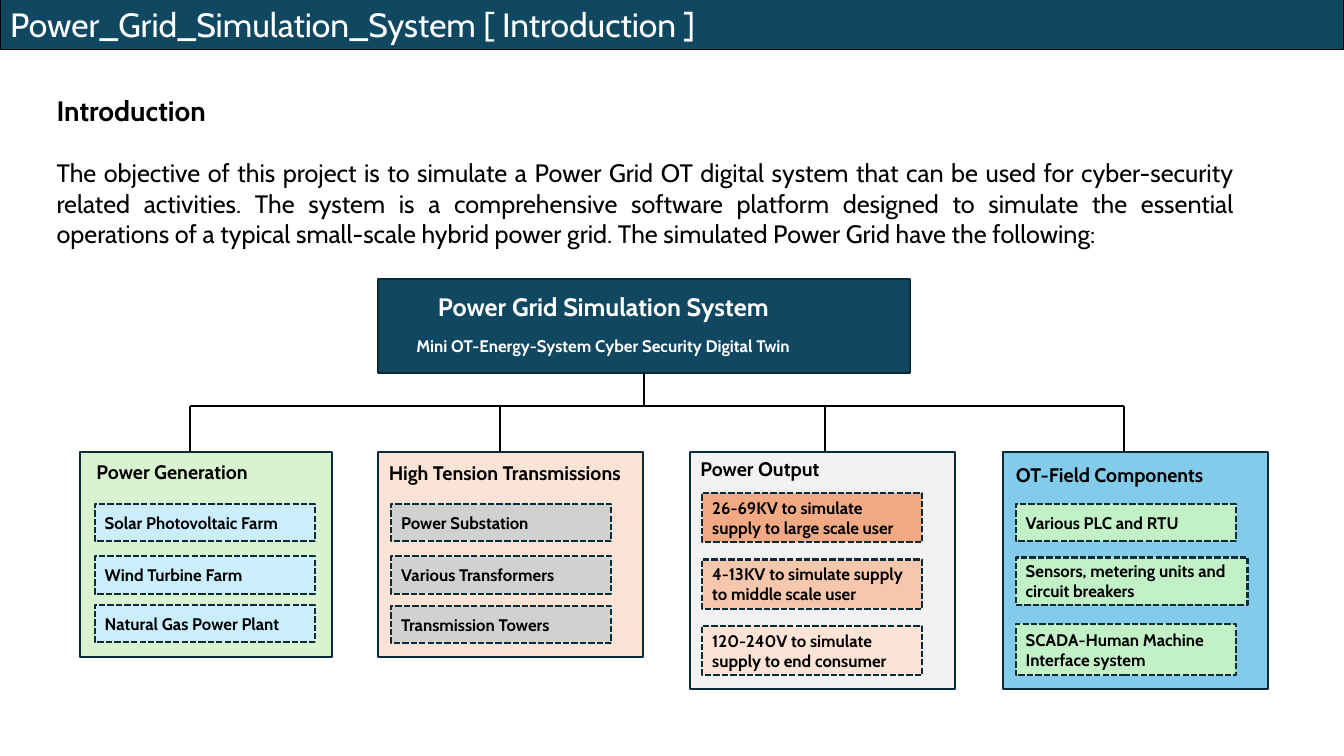
from pptx import Presentation
from pptx.dml.color import RGBColor
from pptx.enum.dml import MSO_LINE_DASH_STYLE as Dash
from pptx.enum.shapes import MSO_CONNECTOR as Connector, MSO_SHAPE as Shape
from pptx.enum.text import MSO_ANCHOR as Anchor, MSO_AUTO_SIZE as AutoSize, PP_ALIGN as Align
from pptx.oxml.ns import qn
from pptx.util import Cm, Pt

COLOURS = {
    "navy": "104862", "outline": "092A39", "black": "000000", "white": "FFFFFF",
    "green": "D9F2D0", "ice": "CAEEFB", "peach": "FBE3D6", "grey": "D1D1D1",
    "pale grey": "F2F2F2", "orange": "F2AA84", "light orange": "F6C6AD",
    "blue": "83CBEB", "mint": "C2F1C8",
}
TITLE = "Power_Grid_Simulation_System [ Introduction ]"
INTRODUCTION = [
    ("Introduction", {"size": Pt(20), "bold": True}, 0),
    ("The objective of this project is to simulate a Power Grid OT digital system that can be "
     "used for cyber-security related activities. The system is a comprehensive software "
     "platform designed to simulate the essential operations of a typical small-scale hybrid "
     "power grid. The simulated Power Grid have the following:",
     {"size": Pt(18), "bold": False}, 21.6),
]
# Text, top, height, size
SYSTEM_LINES = [
    ("Power Grid Simulation System", 7.21, 1.02, 18),
    ("Mini OT-Energy-System Cyber Security Digital Twin", 8.33, 0.76, 12),
]
# Boxes are left, top, width, height in cm; items are text, top, width, height, fill
BRANCHES = [
    {"heading": "Power Generation", "heading at": (2.18, 11.46),
     "box": (2.01, 11.38, 6.35, 5.18), "fill": "green", "drop": 4.78, "items left": 2.39,
     "items": [("Solar Photovoltaic Farm", 12.7, 5.54, 0.94, "ice"),
               ("Wind Turbine Farm", 14.02, 5.54, 0.94, "ice"),
               ("Natural Gas Power Plant", 15.24, 5.54, 0.94, "ice")]},
    {"heading": "High Tension Transmissions", "heading at": (9.55, 11.48),
     "box": (9.53, 11.38, 6.68, 5.18), "fill": "peach", "drop": 12.6, "items left": 9.86,
     "items": [("Power Substation", 12.7, 5.54, 0.94, "grey"),
               ("Various Transformers", 14.02, 5.54, 0.94, "grey"),
               ("Transmission Towers", 15.27, 5.54, 0.94, "grey")]},
    {"heading": "Power Output", "heading at": (17.4, 11.38),
     "box": (17.4, 11.4, 6.68, 5.97), "fill": "pale grey", "drop": 20.8, "items left": 17.7,
     "items": [("26-69KV to simulate supply to large scale user", 12.42, 5.54, 1.24, "orange"),
               ("4-13KV to simulate supply to middle scale user", 14.1, 5.54, 1.24,
                "light orange"),
               ("120-240V to simulate supply to end consumer", 15.77, 5.54, 1.24, "peach")]},
    {"heading": "OT-Field Components", "heading at": (25.35, 11.53),
     "box": (25.27, 11.4, 6.68, 5.97), "fill": "blue", "drop": 28.33, "items left": 25.6,
     "items": [("Various PLC and RTU", 12.7, 5.54, 0.94, "mint"),
               ("Sensors, metering units and circuit breakers", 14.05, 5.84, 1.19, "mint"),
               ("SCADA-Human Machine Interface system", 15.72, 5.54, 1.3, "mint")]},
]
SYSTEM_BOX = (9.53, 7.04, 13.41, 2.36)
BUS_TOP = 10.24
DROP_END = 11.38


def colour(name):
    return RGBColor.from_string(COLOURS[name])


def place(shape, left, top, width, height):
    shape.left, shape.top, shape.width, shape.height = map(Cm, (left, top, width, height))


def paint(shape, fill, line="outline", width=1.5):
    shape.fill.solid()
    shape.fill.fore_color.rgb = colour(fill)
    shape.line.color.rgb = colour(line)
    shape.line.width = Pt(width)


def write(paragraph, text, text_colour="black", align=Align.LEFT, **formats):
    paragraph.text = text
    paragraph.alignment = align
    for name, value in {"name": "Cabin", "bold": True, **formats}.items():
        setattr(paragraph.font, name, value)
    paragraph.font.color.rgb = colour(text_colour)


def set_frame(shape, anchor):
    for name, value in {"word_wrap": True, "auto_size": AutoSize.NONE,
                        "vertical_anchor": anchor}.items():
        setattr(shape.text_frame, name, value)
    return shape.text_frame


def add_box(shapes, box, fill):
    shape = shapes.add_shape(Shape.RECTANGLE, *map(Cm, box))
    shape.shadow.inherit = False
    paint(shape, fill)
    return shape


def add_label(shapes, box, text, **formats):
    frame = set_frame(shapes.add_textbox(*map(Cm, box)), Anchor.TOP)
    write(frame.paragraphs[0], text, **formats)


def add_line(shapes, *ends):
    line = shapes.add_connector(Connector.STRAIGHT, *map(Cm, ends))
    line.line.color.rgb = colour("black")
    line.line.width = Pt(1.5)
    properties = line._element.spPr
    properties.append(properties.makeelement(qn("a:effectLst"), {}))


def fill_placeholders(slide):
    title = slide.shapes.title
    place(title, 0, -0.03, 33.87, 1.27)
    paint(title, "navy", "black", 0.75)
    frame = set_frame(title, Anchor.MIDDLE)
    write(frame.paragraphs[0], TITLE, "white", size=Pt(24), bold=False)

    body = slide.placeholders[1]
    place(body, 1.17, 2.24, 30.18, 4.19)
    frame = set_frame(body, Anchor.TOP)
    for index, (text, formats, gap) in enumerate(INTRODUCTION):
        paragraph = frame.add_paragraph() if index else frame.paragraphs[0]
        properties = paragraph._p.get_or_add_pPr()
        properties.set("marL", "0")
        properties.set("indent", "0")
        properties.append(properties.makeelement(qn("a:buNone"), {}))
        write(paragraph, text, align=Align.JUSTIFY, **formats)
        paragraph.space_before = Pt(gap)


def add_system(shapes):
    add_box(shapes, SYSTEM_BOX, "navy")
    for text, top, height, size in SYSTEM_LINES:
        add_label(shapes, (9.07, top, 12.27, height), text, text_colour="white",
                  align=Align.CENTER, size=Pt(size))


def add_branch(shapes, branch):
    add_box(shapes, branch["box"], branch["fill"])
    add_label(shapes, (*branch["heading at"], 7.29, 0.86), branch["heading"], size=Pt(14))
    for text, top, width, height, fill in branch["items"]:
        item = add_box(shapes, (branch["items left"], top, width, height), fill)
        item.line.dash_style = Dash.SQUARE_DOT
        frame = set_frame(item, Anchor.MIDDLE)
        write(frame.paragraphs[0], text, size=Pt(12))


def add_tree_lines(shapes):
    left, top, width, height = SYSTEM_BOX
    centre = left + width / 2
    drops = [branch["drop"] for branch in BRANCHES]
    add_line(shapes, centre, top + height, centre, BUS_TOP)
    add_line(shapes, drops[0], BUS_TOP, drops[-1], BUS_TOP)
    for drop in drops:
        add_line(shapes, drop, BUS_TOP, drop, DROP_END)


def main():
    presentation = Presentation()
    presentation.slide_width, presentation.slide_height = Cm(33.87), Cm(19.05)
    slide = presentation.slides.add_slide(presentation.slide_layouts[1])
    fill_placeholders(slide)
    add_system(slide.shapes)
    for branch in BRANCHES:
        add_branch(slide.shapes, branch)
    add_tree_lines(slide.shapes)
    presentation.save("out.pptx")


if __name__ == "__main__":
    main()
